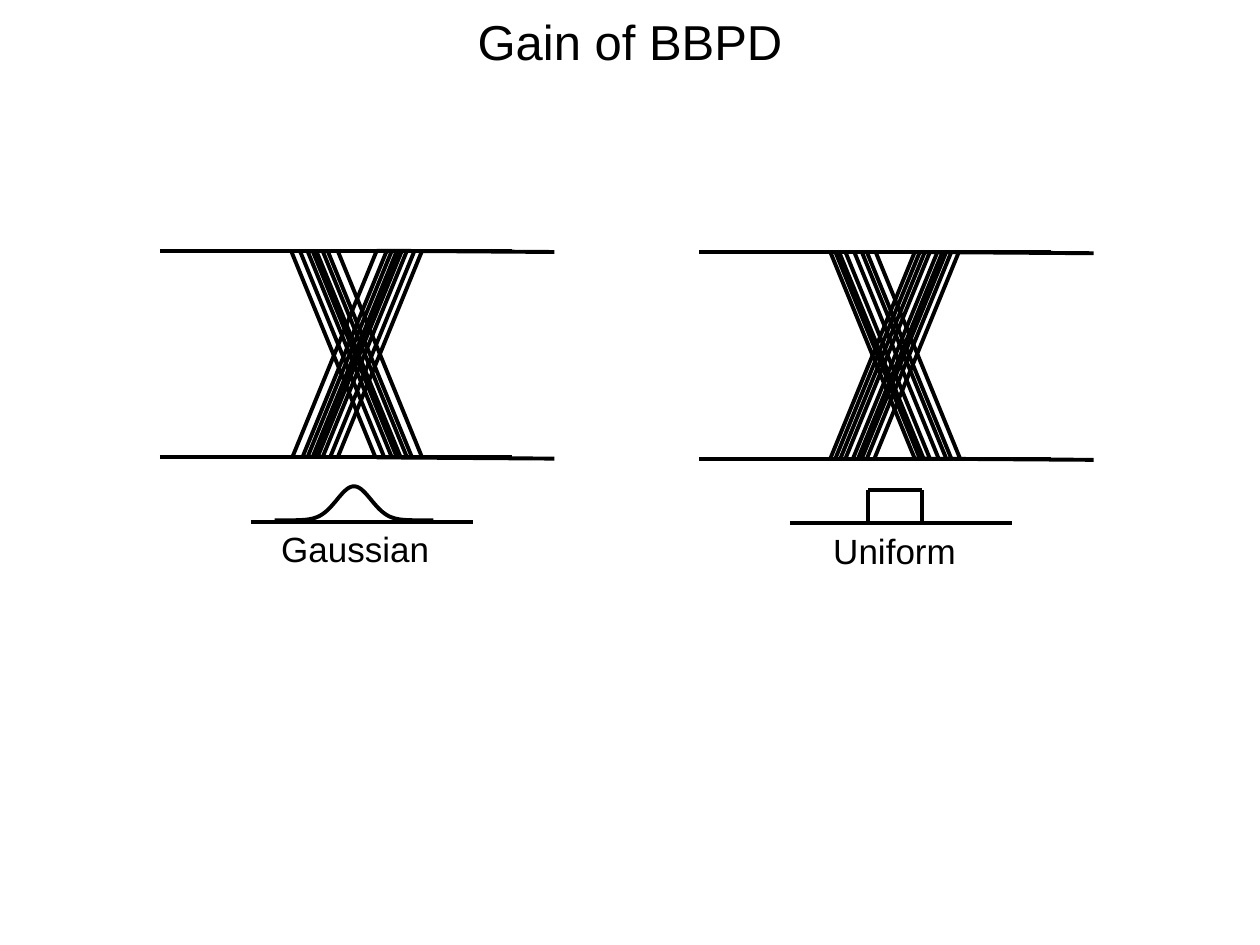
from dataclasses import dataclass
from math import exp

from lxml.etree import SubElement
from pptx import Presentation
from pptx.dml.color import RGBColor
from pptx.enum.shapes import MSO_CONNECTOR
from pptx.enum.text import MSO_ANCHOR, MSO_AUTO_SIZE, PP_ALIGN
from pptx.oxml.ns import qn
from pptx.util import Inches, Pt


@dataclass(frozen=True)
class Theme:
    """Colours, font and sizes of the slide."""
    ink: RGBColor = RGBColor(0, 0, 0)
    paper: RGBColor = RGBColor(255, 255, 255)
    font: str = "Arial"
    title_size: Pt = Pt(28)
    label_size: Pt = Pt(20)
    line_width: Pt = Pt(2.25)


THEME = Theme()
EYE_HEIGHT = 1.64
EDGE_RUN = 0.67
AXIS_DROP = 2.15


def set_text(shape, text, size):
    """Write one centred paragraph in the theme font."""
    frame = shape.text_frame
    frame_format = {"word_wrap": True, "auto_size": MSO_AUTO_SIZE.NONE,
                    "vertical_anchor": MSO_ANCHOR.TOP}
    for name, value in frame_format.items():
        setattr(frame, name, value)
    paragraph = frame.paragraphs[0]
    paragraph.text = text
    paragraph.alignment = PP_ALIGN.CENTER
    for name, value in {"name": THEME.font, "size": size, "bold": False}.items():
        setattr(paragraph.font, name, value)
    paragraph.font.color.rgb = THEME.ink


def set_line(shape):
    """Give a line or outline the theme stroke."""
    shape.line.color.rgb = THEME.ink
    shape.line.width = THEME.line_width


def add_line(slide, start, end):
    """Draw a straight line between two points in inches."""
    points = [Inches(value) for value in (*start, *end)]
    connector = slide.shapes.add_connector(MSO_CONNECTOR.STRAIGHT, *points)
    set_line(connector)
    SubElement(connector._element.spPr, qn("a:effectLst"))


def add_title(slide, text, left, top, width, height):
    """Place the title placeholder in the given box."""
    title = slide.shapes.title
    box = {"left": left, "top": top, "width": width, "height": height}
    for name, value in box.items():
        setattr(title, name, Inches(value))
    set_text(title, text, THEME.title_size)


def add_eye(slide, left, top, falling, rising):
    """Draw the rails and the crossing edges of an eye diagram."""
    bottom = top + EYE_HEIGHT
    for rail in (top, bottom):
        add_line(slide, (left, rail), (left + 2.79, rail))
        add_line(slide, (left + 1.72, rail), (left + 3.13, rail + 0.01))
    for offset in falling:
        add_line(slide, (left + offset, top), (left + offset + EDGE_RUN, bottom))
    for offset in rising:
        add_line(slide, (left + offset, top), (left + offset - EDGE_RUN, bottom))


def add_bell(slide, left, axis):
    """Draw a Gaussian density standing on the axis."""
    center, reach, peak, sigma, steps = left + 1.54, 0.63, 0.27, 0.135, 84
    offsets = [reach * (2 * step / steps - 1) for step in range(steps + 1)]
    points = [(Inches(center + offset),
               Inches(axis - 0.01 - peak * exp(-offset ** 2 / (2 * sigma ** 2))))
              for offset in offsets]
    builder = slide.shapes.build_freeform(*points[0])
    builder.add_line_segments(points[1:], close=False)
    bell = builder.convert_to_shape()
    bell.fill.background()
    bell.shadow.inherit = False
    set_line(bell)


def add_pulse(slide, left, axis):
    """Draw a uniform density standing on the axis."""
    start, end, top = left + 1.34, left + 1.77, axis - 0.26
    add_line(slide, (start, top), (end, top))
    for side in (start, end):
        add_line(slide, (side, axis - 0.01), (side, top))


def add_panel(slide, left, top, label, falling, rising, add_density):
    """Draw an eye diagram with its jitter density and label."""
    add_eye(slide, left, top, falling, rising)
    axis = top + AXIS_DROP
    add_line(slide, (left + 0.72, axis), (left + 2.48, axis))
    add_density(slide, left, axis)
    box = [Inches(value) for value in (left + 0.54, axis, 2.02, 0.44)]
    set_text(slide.shapes.add_textbox(*box), label, THEME.label_size)


def main():
    """Build and save the slide."""
    presentation = Presentation()
    presentation.slide_width = Inches(10)
    presentation.slide_height = Inches(7.5)
    slide = presentation.slides.add_slide(presentation.slide_layouts[5])
    slide.background.fill.solid()
    slide.background.fill.fore_color.rgb = THEME.paper
    add_title(slide, "Gain of BBPD", 0, 0.04, 10, 0.57)
    add_panel(slide, 1.27, 1.99, "Gaussian",
              (1.04, 1.11, 1.17, 1.21, 1.23, 1.24, 1.29, 1.33, 1.41),
              (1.72, 1.8, 1.84, 1.88, 1.89, 1.92, 1.96, 2.02, 2.08), add_bell)
    add_panel(slide, 5.55, 2, "Uniform",
              (1.04, 1.08, 1.11, 1.16, 1.23, 1.29, 1.33, 1.4),
              (1.71, 1.75, 1.79, 1.83, 1.89, 1.93, 1.96, 2, 2.06), add_pulse)
    presentation.save("out.pptx")


if __name__ == "__main__":
    main()
